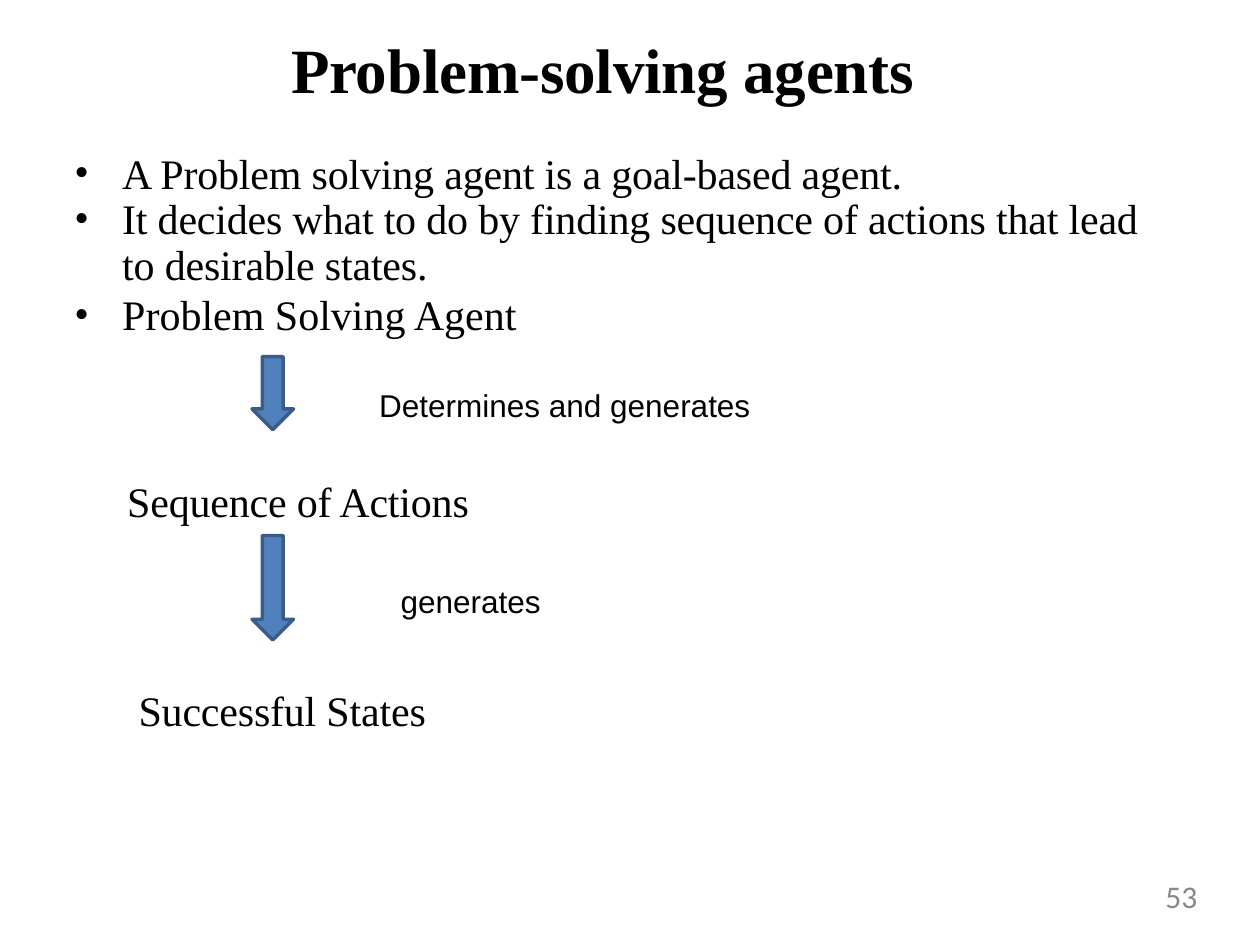
from dataclasses import dataclass

from lxml.etree import SubElement
from pptx import Presentation
from pptx.dml.color import RGBColor
from pptx.enum.shapes import MSO_SHAPE
from pptx.enum.text import MSO_ANCHOR, MSO_AUTO_SIZE, PP_ALIGN
from pptx.oxml.ns import qn
from pptx.slide import Slide
from pptx.text.text import TextFrame, _Paragraph
from pptx.util import Inches, Pt

BLACK = RGBColor(0x00, 0x00, 0x00)
GREY = RGBColor(0x88, 0x88, 0x88)
ARROW_FILL = RGBColor(0x4F, 0x81, 0xBC)
ARROW_LINE = RGBColor(0x38, 0x5D, 0x89)
SERIF = "Times New Roman"
TIGHT = -10  # hundredths of a point between letters


@dataclass(frozen=True)
class Line:
    text: str
    space_before: float = 0
    indent: float = 0.39
    bullet: bool = False
    line_pitch: float | None = None
    font: str = SERIF
    size: float = 24
    tracking: int = TIGHT


@dataclass(frozen=True)
class DownArrow:
    top: float
    height: float


LINES = [
    Line("A Problem solving agent is a goal-based agent.", 1, bullet=True),
    Line("It decides what to do by finding sequence of actions that lead "
         "to desirable states.", bullet=True, line_pitch=25.9),
    Line("Problem Solving Agent", 0.2, bullet=True, tracking=0),
    Line("Determines and generates", 26.5, 2.43, font="Arial", size=18, tracking=0),
    Line("Sequence of Actions", 29.5, 0.43),
    Line("generates", 32.5, 2.6, font="Arial", size=18, tracking=0),
    Line("Successful States", 37, 0.52),
]
ARROWS = [DownArrow(2.83, 0.58), DownArrow(4.25, 0.83)]


def prepare_frame(frame: TextFrame, top_inset: float = 0.01) -> None:
    frame.word_wrap = True
    frame.auto_size = MSO_AUTO_SIZE.NONE
    frame.vertical_anchor = MSO_ANCHOR.TOP
    frame.margin_left = frame.margin_right = frame.margin_bottom = 0
    frame.margin_top = Inches(top_inset)


def add_run(paragraph: _Paragraph, text: str, font: str, size: float,
            color: RGBColor = BLACK, bold: bool = False, tracking: int = 0) -> None:
    run = paragraph.add_run()
    run.text = text
    run.font.name = font
    run.font.size = Pt(size)
    run.font.bold = bold
    run.font.color.rgb = color
    run.font._element.set("spc", str(tracking))


def indent(paragraph: _Paragraph, left: float, bullet: bool = False) -> None:
    properties = paragraph._p.get_or_add_pPr()
    properties.set("marL", str(Inches(left)))
    properties.set("indent", str(Inches(-0.38 if bullet else 0)))
    if bullet:
        SubElement(properties, qn("a:buFont"), typeface=SERIF)
        SubElement(properties, qn("a:buChar"), char="•")


def add_title(slide: Slide) -> None:
    title = slide.shapes.title
    title.left, title.top = Inches(2.3), Inches(0.23)
    title.width, title.height = Inches(4.99), Inches(0.63)
    prepare_frame(title.text_frame)
    heading = title.text_frame.paragraphs[0]
    heading.alignment = PP_ALIGN.LEFT
    heading.space_before = Pt(1)
    indent(heading, 0.01)
    add_run(heading, "Problem-solving agents", SERIF, 36, bold=True, tracking=TIGHT)


def add_arrow(slide: Slide, arrow: DownArrow) -> None:
    shape = slide.shapes.add_shape(MSO_SHAPE.DOWN_ARROW, Inches(2), Inches(arrow.top),
                                   Inches(0.33), Inches(arrow.height))
    shape.shadow.inherit = False
    shape.fill.solid()
    shape.fill.fore_color.rgb = ARROW_FILL
    shape.line.color.rgb = ARROW_LINE
    shape.line.width = Pt(1.92)


def add_body(slide: Slide, lines: list[Line]) -> None:
    body = slide.shapes.add_textbox(Inches(0.58), Inches(1.16), Inches(8.55), Inches(4.55))
    frame = body.text_frame
    prepare_frame(frame)
    for number, line in enumerate(lines):
        paragraph = frame.add_paragraph() if number else frame.paragraphs[0]
        paragraph.space_before = Pt(line.space_before)
        if line.line_pitch:
            paragraph.line_spacing = Pt(line.line_pitch)
        indent(paragraph, line.indent, line.bullet)
        add_run(paragraph, line.text, line.font, line.size, tracking=line.tracking)


def add_page_number(slide: Slide) -> None:
    box = slide.shapes.add_textbox(Inches(9.21), Inches(7.01), Inches(0.34), Inches(0.28))
    prepare_frame(box.text_frame, top_inset=0)
    paragraph = box.text_frame.paragraphs[0]
    paragraph.line_spacing = Pt(18.1)
    indent(paragraph, 0.04)
    add_run(paragraph, "53", "Calibri", 18, GREY)


def main() -> None:
    deck = Presentation()
    deck.slide_width, deck.slide_height = Inches(10), Inches(7.5)
    slide = deck.slides.add_slide(deck.slide_layouts[5])
    add_title(slide)
    for arrow in ARROWS:
        add_arrow(slide, arrow)
    add_body(slide, LINES)
    add_page_number(slide)
    deck.save("out.pptx")


if __name__ == "__main__":
    main()
